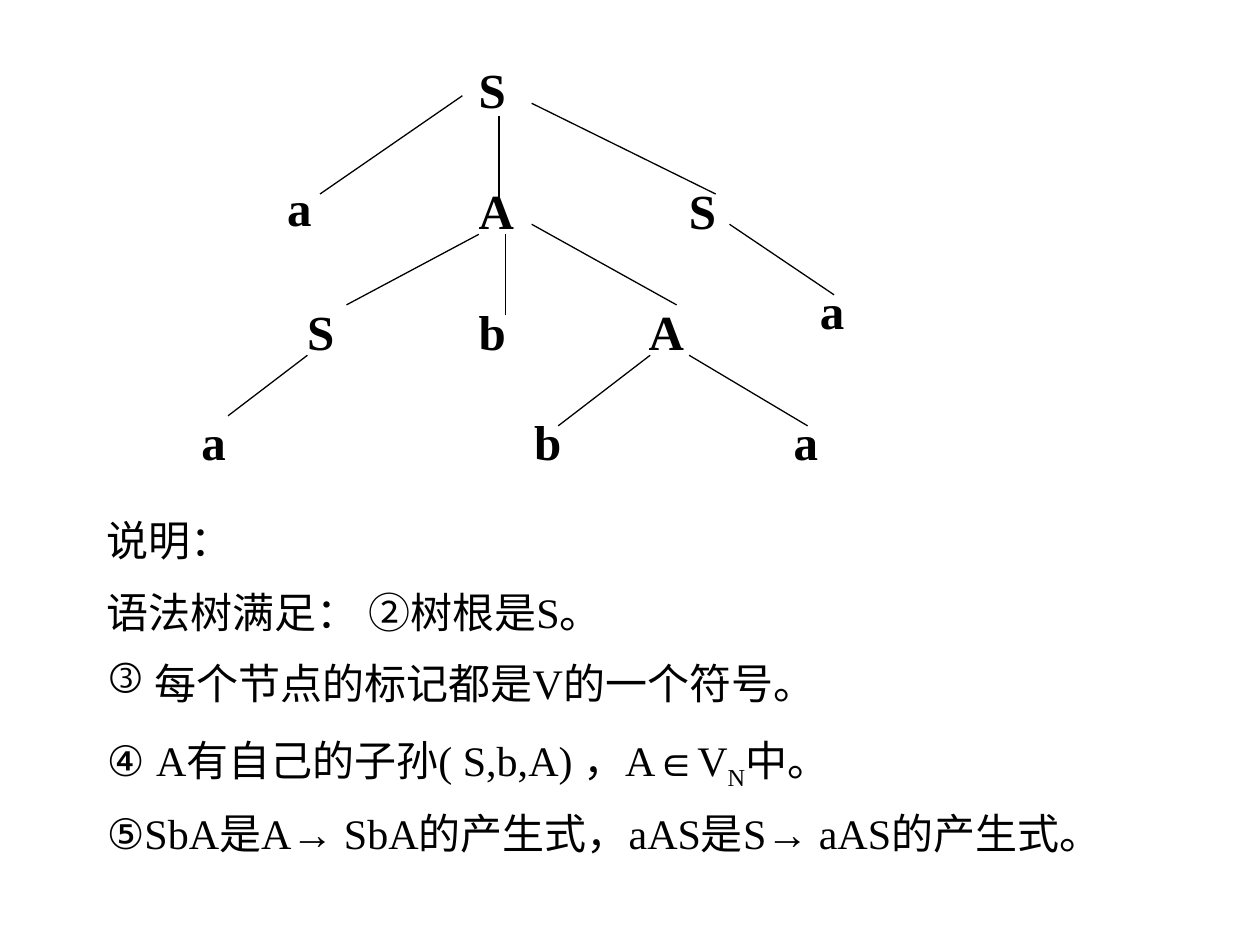
import lxml.etree
import pptx
import pptx.dml.color
import pptx.enum.shapes
import pptx.enum.text
import pptx.oxml.ns
import pptx.util

Inches = pptx.util.Inches
Pt = pptx.util.Pt
qn = pptx.oxml.ns.qn

COLORS = {"ink": "000000", "paper": "FFFFFF"}
SERIF = "Times New Roman"
SANS = "Arial"

TREE_NODES = [
    ("S", 3.7, 0.42),
    ("a", 2.18, 1.36), ("A", 3.7, 1.38), ("S", 5.37, 1.38),
    ("S", 2.34, 2.34), ("b", 3.7, 2.34), ("A", 5.05, 2.34), ("a", 6.41, 2.18),
    ("a", 1.5, 3.22), ("b", 4.14, 3.22), ("a", 6.2, 3.22),
]

TREE_BRANCHES = [
    (3.67, 0.76, 2.54, 1.54), (3.96, 0.92, 3.96, 1.56), (4.22, 0.82, 5.68, 1.54),
    (3.8, 1.86, 2.75, 2.42), (4.01, 1.86, 4.01, 2.5), (4.22, 1.78, 5.37, 2.42),
    (5.79, 1.78, 6.62, 2.34),
    (2.44, 2.82, 1.81, 3.3), (5.16, 2.82, 4.43, 3.38), (5.47, 2.82, 6.41, 3.38),
]

NOTES = [
    (None, [("说明：", SERIF)]),
    (None, [("语法树满足： ", SERIF), ("②", SANS), ("树根是S。", SERIF)]),
    ("③", [("每个节点的标记都是V的一个符号。", SERIF)]),
    (None, [("④ ", SANS), ("A有自己的子孙( S,b,A) ，A", SERIF), ("∈", SANS),
            ("V", SERIF), ("N", SERIF, -25), ("中。", SERIF)]),
    (None, [("⑤", SANS), ("SbA是A", SERIF), ("→", SANS),
            (" SbA的产生式，aAS是S", SERIF), ("→", SANS), (" aAS的产生式。", SERIF)]),
]


class SlideBuilder:
    """Holds the style and the slide being built."""

    def __init__(self, presentation):
        self.slide = presentation.slides.add_slide(presentation.slide_layouts[6])
        fill = self.slide.background.fill
        fill.solid()
        fill.fore_color.rgb = self.color("paper")
        self.tree = self.slide.shapes.add_group_shape()

    def color(self, name):
        return pptx.dml.color.RGBColor.from_string(COLORS[name])

    def format_run(self, run, size, font=SERIF, bold=False):
        run.font.size = Pt(size)
        run.font.name = font
        run.font.bold = bold
        run.font.color.rgb = self.color("ink")

    def node(self, label, left, top):
        shape = self.tree.shapes.add_textbox(
            Inches(left), Inches(top), Inches(0.84), Inches(0.57))
        shape.text_frame.word_wrap = True
        shape.text_frame.auto_size = pptx.enum.text.MSO_AUTO_SIZE.SHAPE_TO_FIT_TEXT
        shape.text_frame.text = label
        paragraph = shape.text_frame.paragraphs[0]
        paragraph.space_before = Pt(17.5)
        self.format_run(paragraph.runs[0], 28, bold=True)

    def branch(self, *ends):
        connector = self.tree.shapes.add_connector(
            pptx.enum.shapes.MSO_CONNECTOR.STRAIGHT, *map(Inches, ends))
        connector.line.color.rgb = self.color("ink")
        connector.line.width = Pt(0.75)
        lxml.etree.SubElement(connector._element.spPr, qn("a:effectLst"))

    def bullet(self, properties, symbol):
        color = lxml.etree.SubElement(properties, qn("a:buClr"))
        lxml.etree.SubElement(color, qn("a:srgbClr"), val=COLORS["ink"])
        lxml.etree.SubElement(properties, qn("a:buChar"), char=symbol)

    def notes(self, left, top, width, height, lines):
        shape = self.slide.shapes.add_textbox(*map(Inches, (left, top, width, height)))
        text_frame = shape.text_frame
        text_frame.word_wrap = True
        for index, (symbol, pieces) in enumerate(lines):
            paragraph = text_frame.add_paragraph() if index else text_frame.paragraphs[0]
            paragraph.line_spacing = 0.9
            paragraph.space_before = Pt(15)
            properties = paragraph._p.get_or_add_pPr()
            properties.set("marL", str(Inches(0.38)))
            properties.set("indent", str(-Inches(0.38)))
            if symbol:
                self.bullet(properties, symbol)
            for text, font, *baseline in pieces:
                run = paragraph.add_run()
                run.text = text
                self.format_run(run, 24, font)
                if baseline:
                    run.font._element.set("baseline", str(baseline[0] * 1000))


def main():
    presentation = pptx.Presentation()
    presentation.slide_width = Inches(10)
    presentation.slide_height = Inches(7.5)
    builder = SlideBuilder(presentation)
    for node in TREE_NODES:
        builder.node(*node)
    for branch in TREE_BRANCHES:
        builder.branch(*branch)
    builder.notes(0.75, 4.08, 8.5, 2.83, NOTES)
    presentation.save("out.pptx")


if __name__ == "__main__":
    main()
